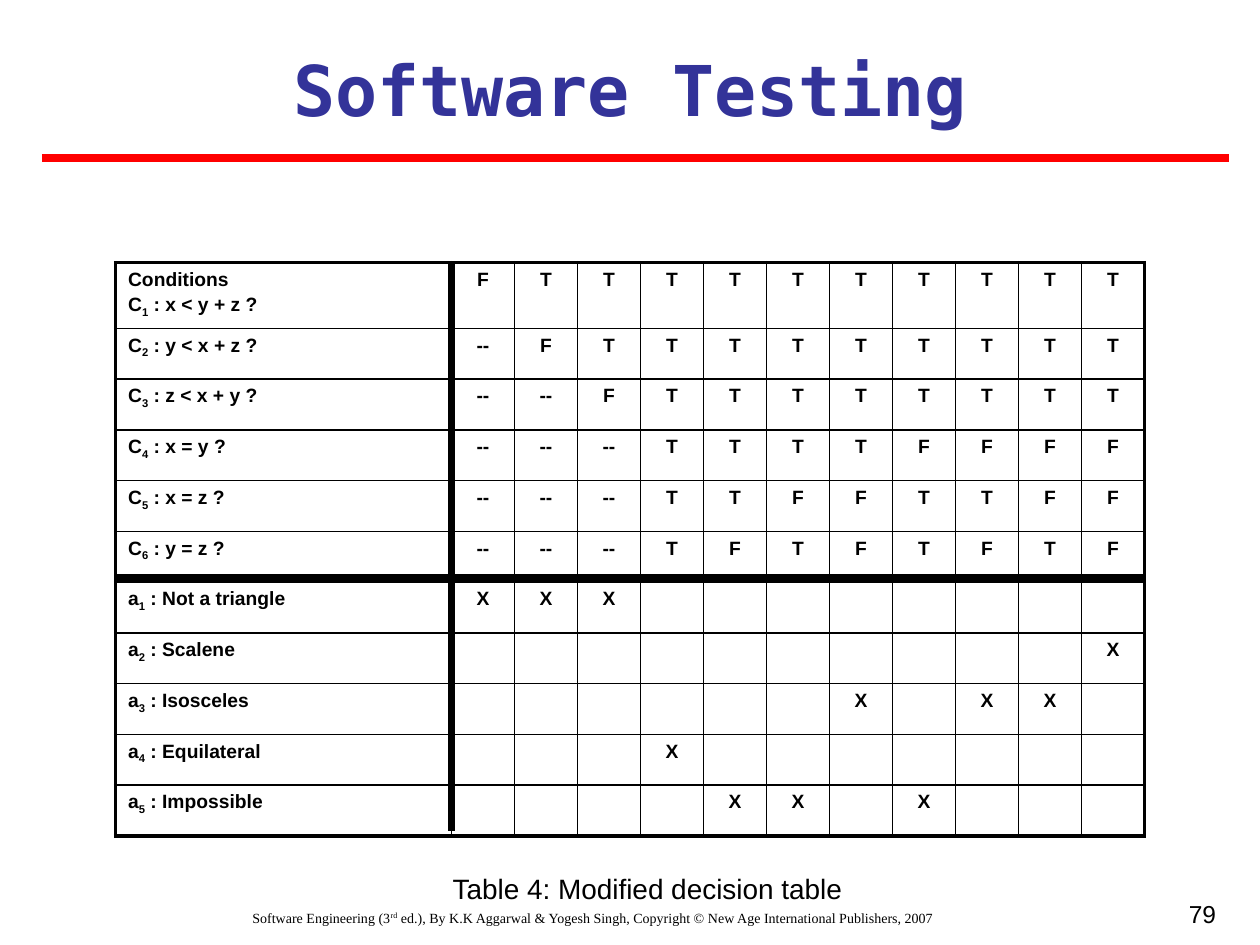
"""Build the slide with the modified decision table for triangle testing."""
from dataclasses import dataclass
from typing import Any, NamedTuple

from pptx import Presentation
from pptx.dml.color import RGBColor
from pptx.enum.shapes import MSO_CONNECTOR
from pptx.enum.text import PP_ALIGN
from pptx.oxml.ns import qn
from pptx.util import Emu, Pt
from lxml.etree import SubElement


@dataclass(frozen=True)
class Theme:
    ink: str = "000000"
    blue: str = "333399"
    red: str = "FF0000"
    sans: str = "Arial"
    mono: str = "DejaVu Sans Mono"
    serif: str = "Times New Roman"
    title: int = 40
    label: int = 16
    page: int = 14
    cell: int = 11
    foot: int = 8
    thick: float = 4.5
    frame: float = 2.25
    thin: float = 1


class Style(NamedTuple):
    size: int
    font: str
    color: str
    bold: bool = False


class Piece(NamedTuple):
    text: str
    base: int = 0


class Box(NamedTuple):
    left: int
    top: int
    width: int
    height: int
    style: Style
    align: PP_ALIGN
    words: tuple[Piece, ...]
    inset: bool = True


class Rule(NamedTuple):
    x1: int
    y1: int
    x2: int
    y2: int
    color: str


class Row(NamedTuple):
    sign: str
    digit: int
    text: str
    marks: str


SCALE = 6350
THEME = Theme()
CELL = Style(THEME.cell, THEME.sans, THEME.ink, True)
LEFT, TOP = 132, 300
WIDTHS = [384] + [72] * 11
HEIGHTS = [75] + [58] * 10
RIGHT = LEFT + sum(WIDTHS)
SPLIT = LEFT + WIDTHS[0]
MARKS = {"-": "--", ".": ""}

BOXES = (
    Box(36, 1032, 1284, 48, Style(THEME.foot, THEME.serif, THEME.ink), PP_ALIGN.CENTER, (
        Piece("Software Engineering (3"),
        Piece("rd", 30),
        Piece(" ed.), By K.K Aggarwal & Yogesh Singh, Copyright © New Age International Publishers, 2007"),
    )),
    Box(1068, 1020, 336, 84, Style(THEME.page, THEME.sans, THEME.ink), PP_ALIGN.RIGHT, (Piece("79"),)),
    Box(48, 46, 1344, 111, Style(THEME.title, THEME.mono, THEME.blue, True), PP_ALIGN.CENTER,
        (Piece("Software Testing"),)),
    Box(72, 996, 1336, 39, Style(THEME.label, THEME.sans, THEME.ink), PP_ALIGN.CENTER,
        (Piece("Table 4: Modified decision table"),), False),
)
RULES = (
    Rule(48, 181, 1404, 181, THEME.red),
    Rule(SPLIT, TOP, SPLIT, 950, THEME.ink),
    Rule(LEFT, 660, RIGHT, 660, THEME.ink),
)
ROWS = (
    Row("C", 1, "x < y + z ?", "FTTTTTTTTTT"),
    Row("C", 2, "y < x + z ?", "-FTTTTTTTTT"),
    Row("C", 3, "z < x + y ?", "--FTTTTTTTT"),
    Row("C", 4, "x = y ?", "---TTTTFFFF"),
    Row("C", 5, "x = z ?", "---TTFFTTFF"),
    Row("C", 6, "y = z ?", "---TFTFTFTF"),
    Row("a", 1, "Not a triangle", "XXX........"),
    Row("a", 2, "Scalene", "..........X"),
    Row("a", 3, "Isosceles", "......X.XX."),
    Row("a", 4, "Equilateral", "...X......."),
    Row("a", 5, "Impossible", "....XX.X..."),
)


def px(count: int) -> Emu:
    return Emu(count * SCALE)


def write(para: Any, words: tuple[Piece, ...], style: Style, align: PP_ALIGN) -> None:
    para.alignment = align
    for piece in words:
        run = para.add_run()
        run.text = piece.text
        font = run.font
        font.size, font.name, font.bold = Pt(style.size), style.font, style.bold
        font.color.rgb = RGBColor.from_string(style.color)
        if piece.base:
            run._r.get_or_add_rPr().set("baseline", str(piece.base * 1000))


def draw_box(slide: Any, box: Box) -> None:
    shape = slide.shapes.add_textbox(px(box.left), px(box.top), px(box.width), px(box.height))
    frame = shape.text_frame
    frame.word_wrap = True
    if not box.inset:
        frame.margin_left = frame.margin_right = frame.margin_top = frame.margin_bottom = 0
    write(frame.paragraphs[0], box.words, box.style, box.align)


def draw_rule(slide: Any, rule: Rule) -> None:
    line = slide.shapes.add_connector(
        MSO_CONNECTOR.STRAIGHT, px(rule.x1), px(rule.y1), px(rule.x2), px(rule.y2))
    line.line.color.rgb = RGBColor.from_string(rule.color)
    line.line.width = Pt(THEME.thick)
    SubElement(line._element.spPr, qn("a:effectLst"))


def edge(cell: Any, row: int, col: int) -> None:
    props = cell._tc.get_or_add_tcPr()
    sides = {"L": col == 0, "R": col == len(WIDTHS) - 1,
             "T": row == 0, "B": row == len(HEIGHTS) - 1}
    for side, outer in sides.items():
        width = Pt(THEME.frame if outer else THEME.thin)
        line = SubElement(props, qn(f"a:ln{side}"), w=str(int(width)))
        fill = SubElement(line, qn("a:solidFill"))
        SubElement(fill, qn("a:srgbClr"), val=THEME.ink)
    cell.fill.background()


def draw_label(cell: Any, row: Row, first: bool) -> None:
    frame = cell.text_frame
    para = frame.paragraphs[0]
    if first:
        write(para, (Piece("Conditions"),), CELL, PP_ALIGN.LEFT)
        para = frame.add_paragraph()
        para.space_before = Pt(2.2)
    words = (Piece(row.sign), Piece(str(row.digit), -25), Piece(f" : {row.text}"))
    write(para, words, CELL, PP_ALIGN.LEFT)


def draw_table(slide: Any) -> None:
    table = slide.shapes.add_table(
        len(HEIGHTS), len(WIDTHS), px(LEFT), px(TOP), px(sum(WIDTHS)), px(sum(HEIGHTS))).table
    table.first_row = table.horz_banding = False
    for col, width in zip(table.columns, WIDTHS):
        col.width = px(width)
    for y, (row, height) in enumerate(zip(ROWS, HEIGHTS)):
        table.rows[y].height = px(height)
        for x in range(len(WIDTHS)):
            edge(table.cell(y, x), y, x)
        draw_label(table.cell(y, 0), row, y == 0)
        for x, mark in enumerate(row.marks, 1):
            text = MARKS.get(mark, mark)
            if text:
                para = table.cell(y, x).text_frame.paragraphs[0]
                write(para, (Piece(text),), CELL, PP_ALIGN.CENTER)


def main() -> None:
    deck = Presentation()
    deck.slide_width, deck.slide_height = px(1440), px(1080)
    slide = deck.slides.add_slide(deck.slide_layouts[6])
    for box in BOXES:
        draw_box(slide, box)
    draw_table(slide)
    for rule in RULES:
        draw_rule(slide, rule)
    deck.save("out.pptx")


if __name__ == "__main__":
    main()
